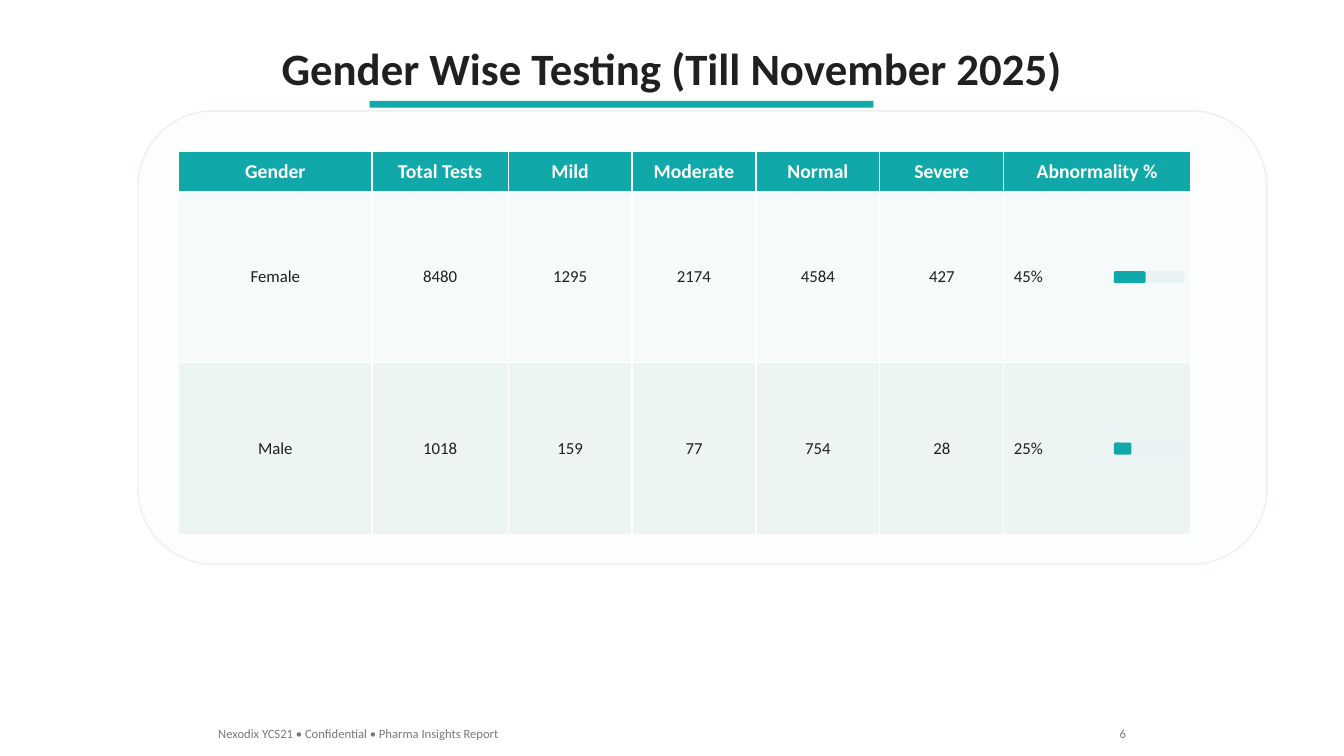
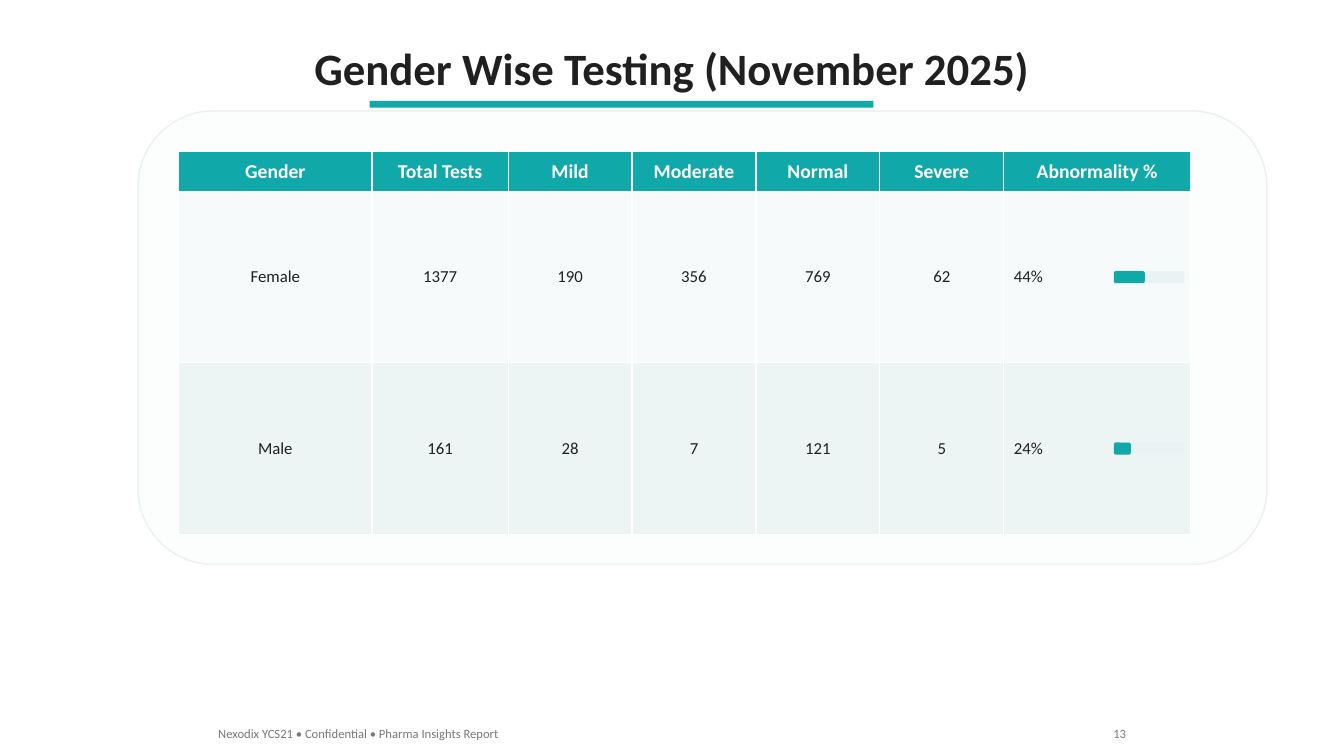
from pptx import Presentation
from pptx.dml.color import RGBColor
from pptx.enum.shapes import MSO_SHAPE as Preset
from pptx.enum.text import MSO_ANCHOR as Anchor, MSO_AUTO_SIZE as AutoSize, PP_ALIGN as Align
from pptx.util import Pt

FONT = "Calibri"
COLORS = {
    "accent": "10A8A8",
    "ink": "202020",
    "white": "FFFFFF",
    "muted": "787878",
    "panel": "FCFDFD",
    "panel_line": "EBF0F0",
    "odd_row": "F6FAFA",
    "even_row": "ECF4F4",
    "track": "EAF3F3",
}
FOOTER = "Nexodix YCS21 • Confidential • Pharma Insights Report"
HEADERS = ["Gender", "Total Tests", "Mild", "Moderate", "Normal", "Severe", "Abnormality %"]
COLUMN_WIDTHS = [138.2, 97.2, 88.5, 88.5, 88.5, 88.5, 133.4]
TABLE_LEFT, TABLE_TOP = 127.6, 108
HEADER_HEIGHT, ROW_HEIGHT = 28.8, 122.4
BAR_WIDTH, BAR_HEIGHT, BAR_GAP = 50.4, 8.6, 4.4

REPORTS = [
    ("Gender Wise Testing (Till November 2025)", 6, [
        ("Female", 8480, 1295, 2174, 4584, 427, 45),
        ("Male", 1018, 159, 77, 754, 28, 25),
    ]),
    ("Gender Wise Testing (November 2025)", 13, [
        ("Female", 1377, 190, 356, 769, 62, 44),
        ("Male", 161, 28, 7, 121, 5, 24),
    ]),
]


def rgb(name):
    return RGBColor.from_string(COLORS[name])


def write(frame, text, size, color, align=Align.LEFT, bold=False):
    paragraph = frame.paragraphs[0]
    paragraph.alignment = align
    run = paragraph.add_run()
    run.text = text
    run.font.name = FONT
    run.font.size = Pt(size)
    run.font.bold = bold
    run.font.color.rgb = rgb(color)


def add_block(slide, preset, left, top, width, height, fill, line=None):
    block = slide.shapes.add_shape(preset, Pt(left), Pt(top), Pt(width), Pt(height))
    block.shadow.inherit = False
    block.fill.solid()
    block.fill.fore_color.rgb = rgb(fill)
    if line:
        block.line.color.rgb = rgb(line)
        block.line.width = Pt(1)
    else:
        block.line.fill.background()


def add_title(slide, text):
    title = slide.shapes.title
    title.left, title.top, title.width, title.height = Pt(120), Pt(25.2), Pt(720), Pt(46)
    frame = title.text_frame
    frame.word_wrap = True
    frame.auto_size = AutoSize.NONE
    frame.vertical_anchor = Anchor.TOP
    write(frame, text, 32, "ink", Align.CENTER, bold=True)


def add_footer_text(slide, left, width, text, align):
    box = slide.shapes.add_textbox(Pt(left), Pt(514.8), Pt(width), Pt(18))
    box.text_frame.word_wrap = True
    write(box.text_frame, text, 9, "muted", align)


def fill_cell(cell, text, fill, size, color, align, bold=False):
    cell.fill.solid()
    cell.fill.fore_color.rgb = rgb(fill)
    cell.vertical_anchor = Anchor.MIDDLE
    write(cell.text_frame, text, size, color, align, bold)


def add_results_table(slide, results):
    height = HEADER_HEIGHT + ROW_HEIGHT * len(results)
    table = slide.shapes.add_table(
        len(results) + 1, len(HEADERS),
        Pt(TABLE_LEFT), Pt(TABLE_TOP), Pt(sum(COLUMN_WIDTHS)), Pt(height)).table
    for column, width in zip(table.columns, COLUMN_WIDTHS):
        column.width = Pt(width)
    table.rows[0].height = Pt(HEADER_HEIGHT)
    for index, header in enumerate(HEADERS):
        fill_cell(table.cell(0, index), header, "accent", 14, "white", Align.CENTER, bold=True)
    for row, (*counts, abnormality) in enumerate(results, 1):
        table.rows[row].height = Pt(ROW_HEIGHT)
        fill = "odd_row" if row % 2 else "even_row"
        for index, count in enumerate(counts):
            fill_cell(table.cell(row, index), str(count), fill, 12, "ink", Align.CENTER)
        fill_cell(table.cell(row, len(counts)), f"{abnormality}%", fill, 12, "ink", Align.LEFT)


def add_abnormality_bars(slide, results):
    left = TABLE_LEFT + sum(COLUMN_WIDTHS) - BAR_GAP - BAR_WIDTH
    for row, result in enumerate(results):
        top = TABLE_TOP + HEADER_HEIGHT + ROW_HEIGHT * (row + 0.5) - BAR_HEIGHT / 2
        for width, fill in ((BAR_WIDTH, "track"), (BAR_WIDTH * result[-1] / 100, "accent")):
            add_block(slide, Preset.ROUNDED_RECTANGLE, left, top, width, BAR_HEIGHT, fill)


def add_report(deck, title, number, results):
    slide = deck.slides.add_slide(deck.slide_layouts[5])
    add_title(slide, title)
    add_block(slide, Preset.RECTANGLE, 264, 72, 360, 5, "accent")
    add_block(slide, Preset.ROUNDED_RECTANGLE, 98.6, 79.2, 806.4, 324, "panel", "panel_line")
    add_results_table(slide, results)
    add_abnormality_bars(slide, results)
    add_footer_text(slide, 148.8, 300, FOOTER, Align.LEFT)
    add_footer_text(slide, 751.4, 60, str(number), Align.RIGHT)


def main():
    deck = Presentation()
    deck.slide_width, deck.slide_height = Pt(960), Pt(540)
    for title, number, results in REPORTS:
        add_report(deck, title, number, results)
    deck.save("out.pptx")


if __name__ == "__main__":
    main()
